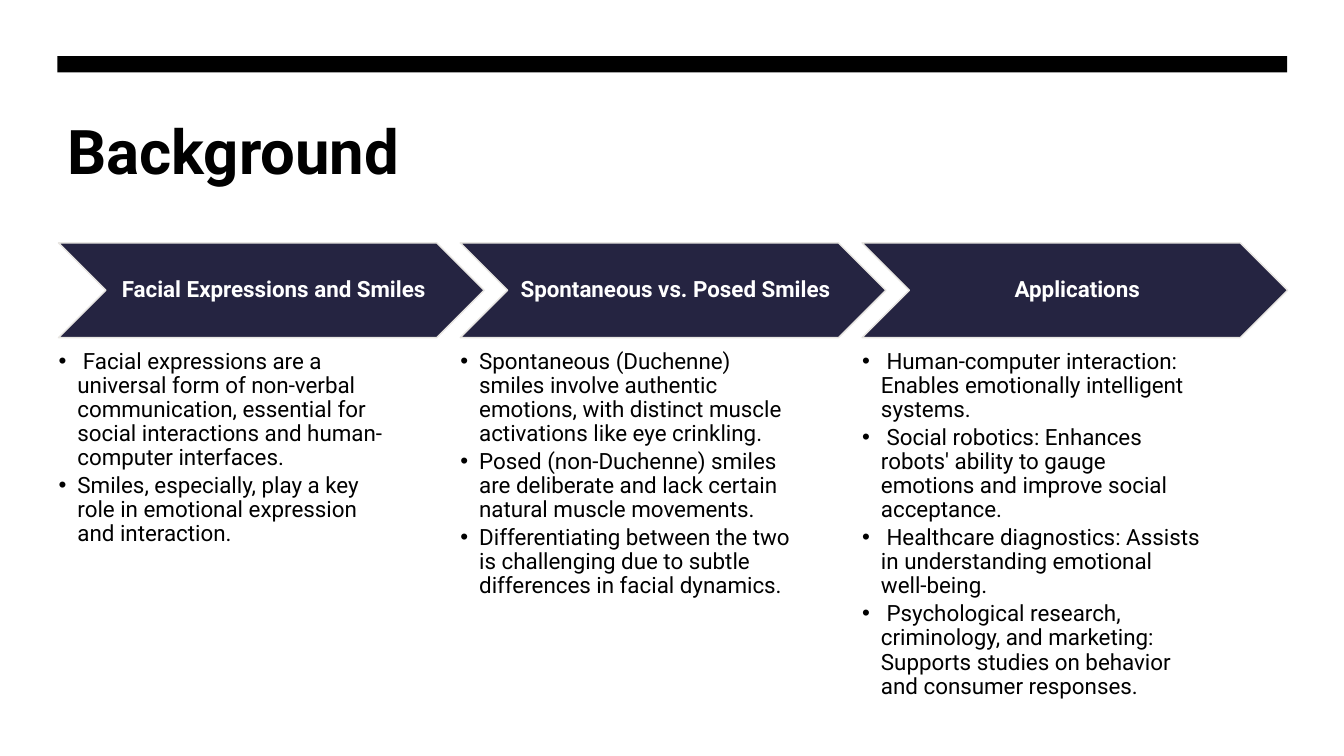
from lxml.etree import SubElement
from pptx import Presentation
from pptx.dml.color import RGBColor
from pptx.enum.shapes import MSO_SHAPE as Preset
from pptx.enum.text import MSO_ANCHOR as Anchor, PP_ALIGN as Align
from pptx.oxml.ns import qn
from pptx.util import Pt

TITLE = "Background"
COLUMNS = [
    ("Facial Expressions and Smiles", [
        " Facial expressions are a universal form of non-verbal communication, "
        "essential for social interactions and human-computer interfaces.",
        "Smiles, especially, play a key role in emotional expression and interaction.",
    ]),
    ("Spontaneous vs. Posed Smiles", [
        "Spontaneous (Duchenne) smiles involve authentic emotions, "
        "with distinct muscle activations like eye crinkling.",
        "Posed (non-Duchenne) smiles are deliberate and lack certain natural muscle movements.",
        "Differentiating between the two is challenging due to subtle differences in facial dynamics.",
    ]),
    ("Applications", [
        " Human-computer interaction: Enables emotionally intelligent systems.",
        " Social robotics: Enhances robots' ability to gauge emotions and improve social acceptance.",
        " Healthcare diagnostics: Assists in understanding emotional well-being.",
        " Psychological research, criminology, and marketing: "
        "Supports studies on behavior and consumer responses.",
    ]),
]

FONT = "Roboto"
BLACK, WHITE, NAVY, CREAM = "000000", "FFFFFF", "252441", "E8E6E2"
LEFT, WIDTH = 41, 878.4
COLUMN_LEFT, COLUMN_STEP = 41.8, 287
CHEVRON_TOP, CHEVRON_WIDTH, CHEVRON_HEIGHT = 173.5, 304, 67.7
LIST_TOP, LIST_WIDTH, LIST_HEIGHT = 249.8, 243.4, 238.3
BULLET_INDENT = 13.5


def color(value):
    return RGBColor.from_string(value)


def add_preset(slide, preset, left, top, width, height, fill, line=None):
    shape = slide.shapes.add_shape(preset, Pt(left), Pt(top), Pt(width), Pt(height))
    shape.shadow.inherit = False
    shape.fill.solid()
    shape.fill.fore_color.rgb = color(fill)
    if line:
        shape.line.color.rgb = color(line)
        shape.line.width = Pt(1)
    else:
        shape.line.fill.background()
    return shape


def add_text_box(slide, left, top, width, height):
    box = slide.shapes.add_textbox(Pt(left), Pt(top), Pt(width), Pt(height))
    box.text_frame.word_wrap = True
    return box.text_frame


def set_margins(frame, left, other):
    frame.margin_left = Pt(left)
    frame.margin_top = frame.margin_right = frame.margin_bottom = Pt(other)


def add_run(paragraph, text, size, value, bold=False):
    run = paragraph.add_run()
    run.text = text
    run.font.name = FONT
    run.font.size = Pt(size)
    run.font.bold = bold
    run.font.color.rgb = color(value)


def add_bullet(paragraph):
    properties = paragraph._p.get_or_add_pPr()
    properties.set("marL", str(Pt(BULLET_INDENT)))
    properties.set("indent", str(-Pt(BULLET_INDENT)))
    SubElement(properties, qn("a:buFont")).set("typeface", "Arial")
    SubElement(properties, qn("a:buChar")).set("char", "•")


def add_column(slide, left, heading, points):
    chevron = add_preset(slide, Preset.CHEVRON, left, CHEVRON_TOP,
                         CHEVRON_WIDTH, CHEVRON_HEIGHT, NAVY, CREAM)
    frame = chevron.text_frame
    frame.word_wrap = True
    frame.vertical_anchor = Anchor.MIDDLE
    set_margins(frame, 5, 1.5)
    paragraph = frame.paragraphs[0]
    paragraph.alignment = Align.CENTER
    paragraph.line_spacing = 0.9
    add_run(paragraph, heading, 16, WHITE, bold=True)

    frame = add_text_box(slide, left, LIST_TOP, LIST_WIDTH, LIST_HEIGHT)
    set_margins(frame, 0, 0)
    for index, point in enumerate(points):
        paragraph = frame.add_paragraph() if index else frame.paragraphs[0]
        add_bullet(paragraph)
        paragraph.line_spacing = 0.9
        paragraph.space_after = Pt(2.6)
        add_run(paragraph, point, 16, BLACK)


def main():
    presentation = Presentation()
    presentation.slide_width, presentation.slide_height = Pt(960), Pt(540)
    slide = presentation.slides.add_slide(presentation.slide_layouts[6])
    slide.background.fill.solid()
    slide.background.fill.fore_color.rgb = color(WHITE)

    add_preset(slide, Preset.RECTANGLE, LEFT, 40.2, WIDTH, 11.5, BLACK)
    title = add_text_box(slide, LEFT, 77, WIDTH, 115)
    add_run(title.paragraphs[0], TITLE, 44, BLACK, bold=True)
    for index, (heading, points) in enumerate(COLUMNS):
        add_column(slide, COLUMN_LEFT + index * COLUMN_STEP, heading, points)

    presentation.save("out.pptx")


if __name__ == "__main__":
    main()
